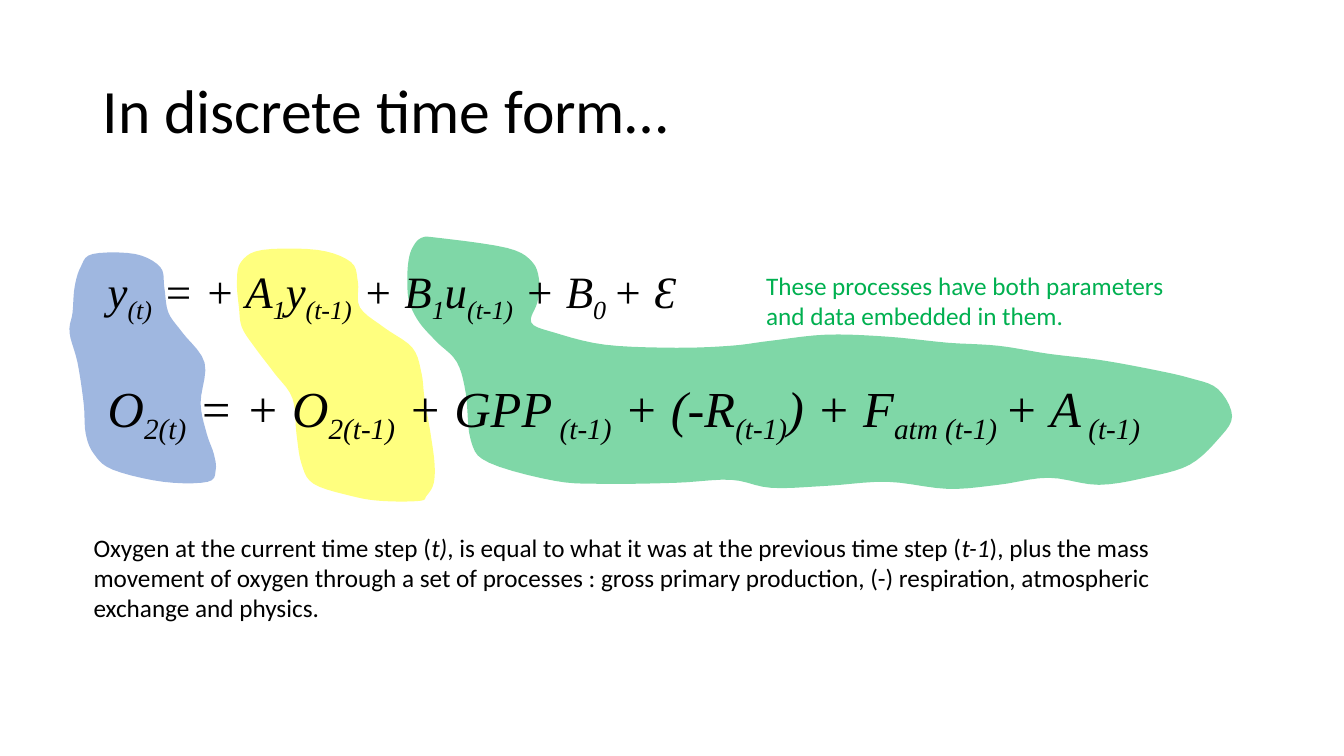
import pptx
import pptx.dml.color
import pptx.enum.text
import pptx.util
from dataclasses import dataclass
from pptx.util import Inches


@dataclass(frozen=True)
class Theme:
    body_font: str = "Calibri"
    math_font: str = "Times New Roman"
    ink: str = "000000"
    green: str = "00B050"
    blue: str = "4472C4"
    yellow: str = "FFFF00"
    title_size: int = 44
    general_size: int = 32
    oxygen_size: int = 36
    body_size: int = 18


THEME = Theme()
CURVE_STEPS = 5  # straight pieces between two neighbouring anchors

# Upright strokes, as rows of (y, left x, right x) from top to bottom
CURRENT_ROWS = [
    (2.52, 0.92, 1.34), (2.65, 0.8, 1.59), (2.85, 0.74, 1.63), (3.1, 0.72, 1.67),
    (3.3, 0.69, 1.81), (3.6, 0.77, 2.03), (4, 0.83, 1.99), (4.3, 0.85, 2.05),
    (4.5, 0.93, 2.12), (4.66, 1.12, 2.14), (4.78, 1.62, 2.06),
]
PREVIOUS_ROWS = [
    (2.48, 2.6, 3.15), (2.6, 2.39, 3.48), (2.8, 2.35, 3.55), (3.05, 2.37, 3.57),
    (3.25, 2.4, 3.81), (3.45, 2.53, 4.09), (3.7, 2.72, 4.18), (3.95, 2.9, 4.21),
    (4.3, 2.94, 4.27), (4.6, 2.99, 4.31), (4.8, 3.11, 4.3), (4.92, 3.48, 4.23),
    (4.97, 3.78, 4.16),
]
STEM_ROWS = [
    (2.36, 4.18, 4.35), (2.46, 4.09, 5.03), (2.6, 4.05, 5.28), (2.8, 4.04, 5.35),
    (3, 4.06, 5.33), (3.2, 4.16, 5.27),
]
# Wide stroke joined to the stem, as columns of (x, top y, bottom y) from left to right
BAND_COLUMNS = [
    (5.5, 3.3, 4.77), (6, 3.42, 4.8), (6.7, 3.45, 4.79), (7.25, 3.43, 4.76),
    (7.65, 3.38, 4.84), (8.2, 3.32, 4.82), (8.8, 3.34, 4.78), (9.4, 3.4, 4.85),
    (9.9, 3.43, 4.81), (10.4, 3.51, 4.74), (10.9, 3.57, 4.81), (11.4, 3.66, 4.73),
    (11.8, 3.75, 4.61), (12.08, 3.86, 4.36),
]
BAND_SHOULDER = [(4.33, 3.39), (4.53, 3.59), (4.62, 3.9), (4.67, 4.37), (4.85, 4.59)]
BAND_TIP = (12.22, 4.13)


def row_edges(rows):
    """Left edge going down and right edge going up."""
    left = [(left_x, y) for y, left_x, _ in rows]
    right = [(right_x, y) for y, _, right_x in reversed(rows)]
    return left, right


def upright_outline(rows):
    left, right = row_edges(rows)
    return left + right


def process_outline():
    """Down the stem, along the band and back, then up the stem."""
    stem_left, stem_right = row_edges(STEM_ROWS)
    bottom = [(x, bottom_y) for x, _, bottom_y in BAND_COLUMNS]
    top = [(x, top_y) for x, top_y, _ in reversed(BAND_COLUMNS)]
    return stem_left + BAND_SHOULDER + bottom + [BAND_TIP] + top + stem_right


def spline(before, start, end, after, t):
    """Catmull-Rom value between start and end, for one coordinate."""
    slope = end - before
    bend = 2 * before - 5 * start + 4 * end - after
    twist = 3 * (start - end) + after - before
    return start + (slope * t + bend * t ** 2 + twist * t ** 3) / 2


def smooth(anchors):
    """Closed curve through all the anchors."""
    points = []
    for i in range(len(anchors)):
        neighbours = [anchors[(i + shift) % len(anchors)] for shift in (-1, 0, 1, 2)]
        xs, ys = zip(*neighbours)
        for step in range(CURVE_STEPS):
            t = step / CURVE_STEPS
            points.append((Inches(spline(*xs, t)), Inches(spline(*ys, t))))
    return points


def add_highlight(slide, anchors, color, opacity):
    start, *rest = smooth(anchors)
    builder = slide.shapes.build_freeform(*start)
    builder.add_line_segments(rest, close=True)
    highlight = builder.convert_to_shape()
    highlight.shadow.inherit = False
    highlight.line.fill.background()
    highlight.fill.solid()
    highlight.fill.fore_color.rgb = pptx.dml.color.RGBColor.from_string(color)
    rgb = highlight.fill._xPr.solidFill.srgbClr
    alpha = rgb.makeelement(pptx.oxml.ns.qn("a:alpha"), {"val": str(opacity * 1000)})
    rgb.append(alpha)


def add_text_box(slide, box):
    frame = slide.shapes.add_textbox(*map(Inches, box)).text_frame
    frame.word_wrap = True
    return frame


def add_run(paragraph, text, font, size, color=THEME.ink, italic=False):
    run = paragraph.add_run()
    run.text = text
    run.font.name = font
    run.font.size = pptx.util.Pt(size)
    run.font.italic = italic
    run.font.color.rgb = pptx.dml.color.RGBColor.from_string(color)
    return run


def add_equation(slide, box, size, terms):
    """Terms alternate between the baseline and the subscript."""
    paragraph = add_text_box(slide, box).paragraphs[0]
    for index, term in enumerate(terms):
        run = add_run(paragraph, term, THEME.math_font, size, italic=True)
        if index % 2:
            run.font._element.set("baseline", "-25000")


def add_prose(slide, box, pieces, size=THEME.body_size, color=THEME.ink):
    """Pieces alternate between upright and italic."""
    frame = add_text_box(slide, box)
    for index, piece in enumerate(pieces):
        add_run(frame.paragraphs[0], piece, THEME.body_font, size, color, index % 2 == 1)
    return frame


def main():
    deck = pptx.Presentation()
    deck.slide_width, deck.slide_height = Inches(13.33), Inches(7.5)
    slide = deck.slides.add_slide(deck.slide_layouts[6])

    # Highlights behind matching terms
    add_highlight(slide, process_outline(), THEME.green, 50)
    add_highlight(slide, upright_outline(CURRENT_ROWS), THEME.blue, 51)
    add_highlight(slide, upright_outline(PREVIOUS_ROWS), THEME.yellow, 50)

    # Title
    title = add_prose(slide, (0.92, 0.4, 11.5, 1.45), ["In discrete time form…"],
                      THEME.title_size)
    title.vertical_anchor = pptx.enum.text.MSO_ANCHOR.MIDDLE
    title.paragraphs[0].line_spacing = 0.9

    # General and oxygen equations
    add_equation(slide, (0.97, 2.57, 7.97, 0.64), THEME.general_size,
                 ["y", "(t)", " = + A", "1", "y", "(t-1)", " + B", "1", "u", "(t-1)",
                  " + B", "0 ", "+ Ɛ"])
    add_equation(slide, (0.97, 3.69, 11.5, 0.71), THEME.oxygen_size,
                 ["O", "2(t)", " = + O", "2(t-1)", " + GPP", " (t-1)", " + (-R", "(t-1)",
                  ") + F", "atm (t-1) ", "+ A", " (t-1)"])

    # Explanation and side note
    add_prose(slide, (0.83, 5.23, 11.03, 1.01),
              ["Oxygen at the current time step (", "t)",
               ", is equal to what it was at the previous time step (", "t-1",
               "), plus the mass movement of oxygen through a set of processes : gross "
               "primary production, (-) respiration, atmospheric exchange and physics."])
    add_prose(slide, (7.5, 2.63, 4.35, 0.71),
              ["These processes have both parameters and data embedded in them."],
              color=THEME.green)

    deck.save("out.pptx")


main()
